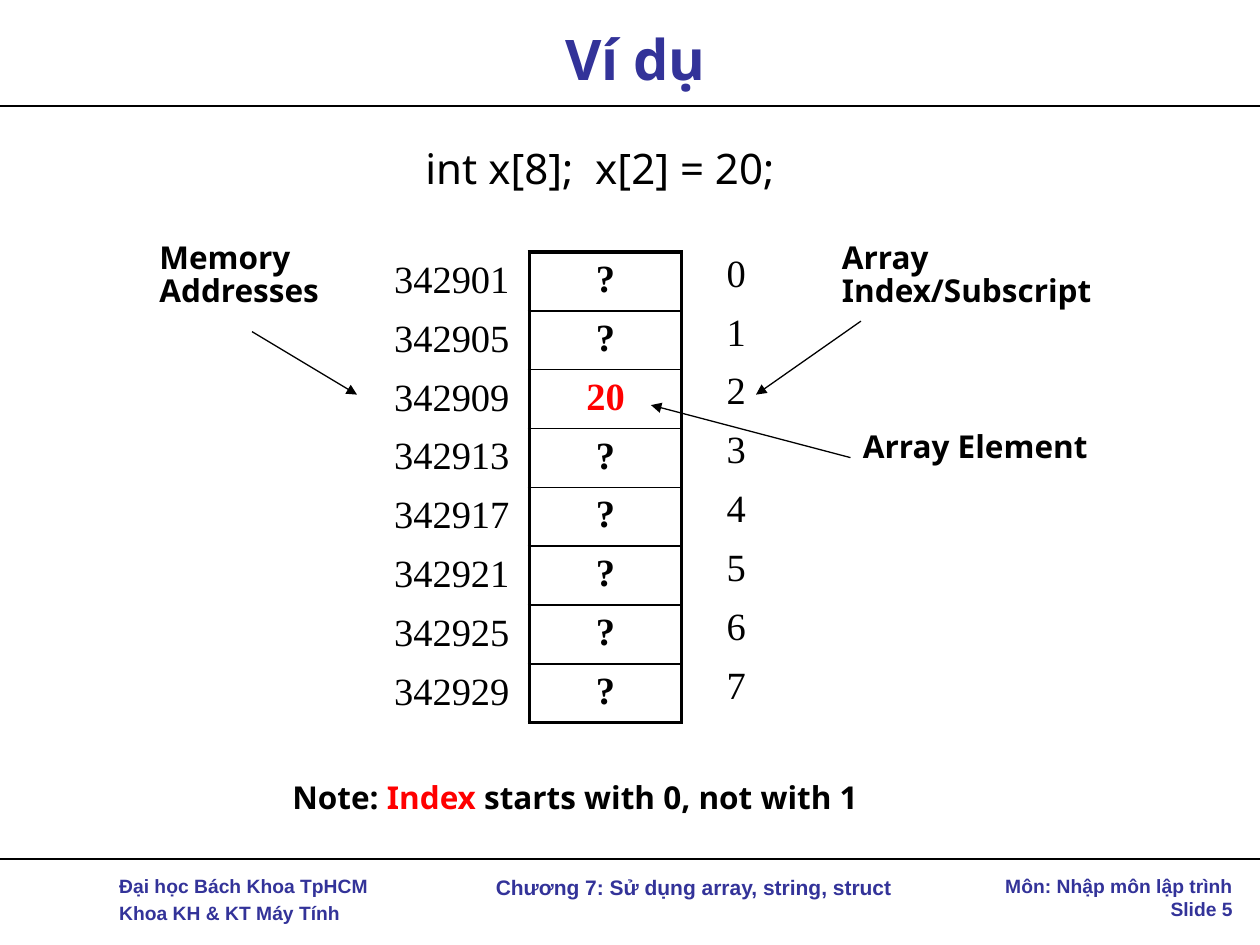
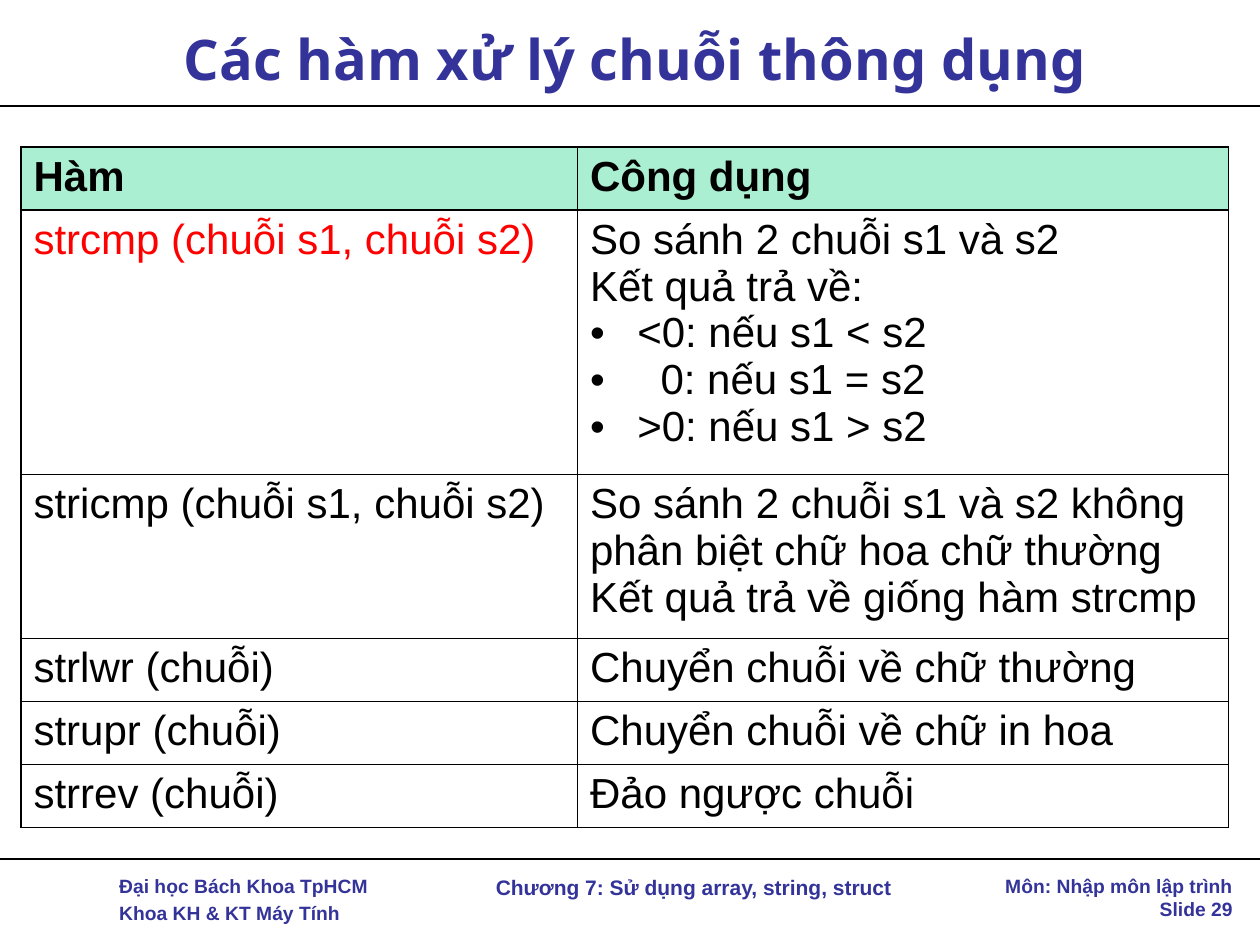
from lxml.etree import SubElement
from pptx import Presentation
from pptx.dml.color import RGBColor
from pptx.enum.shapes import MSO_CONNECTOR
from pptx.enum.text import MSO_ANCHOR as ANCHOR, PP_ALIGN as ALIGN
from pptx.oxml import parse_xml
from pptx.oxml.ns import nsdecls, qn
from pptx.util import Pt

NAVY = RGBColor(0x33, 0x33, 0x99)
BLACK = RGBColor(0, 0, 0)
RED = RGBColor(0xFF, 0, 0)
MINT = RGBColor(0xAA, 0xEF, 0xD2)
SANS, ARIAL, SERIF = "Noto Sans", "Arial", "Times New Roman"
WIDTH, HEIGHT = 720, 540

# Shared by both slides
TITLE_AREA = (24, 6, 678, 54.5)
RULE_HEIGHTS = (60.5, 491)
SCHOOL = ["Đại học Bách Khoa TpHCM", "Khoa KH & KT Máy Tính"]
CHAPTER = "Chương 7: Sử dụng array, string, struct"
COURSE = "Môn: Nhập môn lập trình"

# Array slide
ARRAY_TITLE, ARRAY_NUMBER = "Ví dụ", 5
VALUES = ["?", "?", "20", "?", "?", "?", "?", "?"]
FIRST_ADDRESS, INT_SIZE = 342901, 4
CELL_HEIGHT = 33.6
CODE = ("int x[8];  x[2] = 20;", (236, 78, 234, 36))
LABELS = [
    ("Memory Addresses", (84, 135, 108, 50.4)),
    ("Array Index/Subscript", (474, 135, 168, 50.4)),
    ("Array Element", (486, 243, 168, 28.8)),
]
NOTE = [("Note: ", BLACK), ("Index ", RED), ("starts with 0, not with 1", BLACK)]
NOTE_AREA = (160, 441, 366, 28.8)
ARROWS = [
    ((144, 189.5), (204, 225.5)),
    ((492, 183.5), (432, 225.5)),
    ((486, 261.5), (372, 231.5)),
]

# String function slide: (function, colour, use, lines it takes)
STRING_TITLE, STRING_NUMBER = "Các hàm xử lý chuỗi thông dụng", 29
HEADER = ("Hàm", BLACK, ["Công dụng"], 1)
FUNCTIONS = [
    ("strcmp (chuỗi s1, chuỗi s2)", RED,
     ["So sánh 2 chuỗi s1 và s2", "Kết quả trả về:",
      "<0: nếu s1 < s2", "0: nếu s1 = s2", ">0: nếu s1 > s2"], 5),
    ("stricmp (chuỗi s1, chuỗi s2)", BLACK,
     ["So sánh 2 chuỗi s1 và s2 không phân biệt chữ hoa chữ thường",
      "Kết quả trả về giống hàm strcmp"], 3),
    ("strlwr (chuỗi)", BLACK, ["Chuyển chuỗi về chữ thường"], 1),
    ("strupr (chuỗi)", BLACK, ["Chuyển chuỗi về chữ in hoa"], 1),
    ("strrev (chuỗi)", BLACK, ["Đảo ngược chuỗi"], 1),
]
BULLET_INDENTS = {"<0": 27, "0:": 40.3, ">0": 27}
LINE_HEIGHT, CELL_PADDING = 26.8, 7


def style(span, font, size, color=BLACK, bold=False):
    """Format one run."""
    span.font.name, span.font.size, span.font.bold = font, Pt(size), bold
    span.font.color.rgb = color


def write(frame, lines, font, size, color=BLACK, bold=False, align=ALIGN.LEFT):
    """Fill a text frame with one paragraph per line."""
    frame.text = "\n".join(lines)
    for para in frame.paragraphs:
        para.alignment = align
        for span in para.runs:
            style(span, font, size, color, bold)


def add_text(page, area, lines, font, size, color=BLACK, bold=False, align=ALIGN.LEFT):
    """Add a wrapping text box and return its text frame."""
    frame = page.shapes.add_textbox(*map(Pt, area)).text_frame
    frame.word_wrap = True
    write(frame, lines, font, size, color, bold, align)
    return frame


def add_line(page, start, end, width=1, arrow=False):
    """Draw a black line, with an arrowhead at its end if wanted."""
    line = page.shapes.add_connector(MSO_CONNECTOR.STRAIGHT, *map(Pt, start + end))
    line.line.color.rgb = BLACK
    line.line.width = Pt(width)
    if arrow:
        SubElement(line.line._get_or_add_ln(), qn("a:tailEnd"), type="triangle")
    SubElement(line.element.spPr, qn("a:effectLst"))


def set_borders(cell, **widths):
    """Set the cell borders L, R, T and B; a width of 0 hides a border."""
    properties = cell._tc.get_or_add_tcPr()
    for place, side in enumerate("LRTB"):
        width = widths.get(side, 0)
        fill = (f'<a:solidFill><a:srgbClr val="{BLACK}"/></a:solidFill>'
                if width else "<a:noFill/>")
        properties.insert(place, parse_xml(
            f'<a:ln{side} {nsdecls("a")} w="{Pt(width)}">{fill}</a:ln{side}>'))


def add_plain_table(page, left, top, widths, heights):
    """Add a table without banding or fills."""
    area = map(Pt, (left, top, sum(widths), sum(heights)))
    table = page.shapes.add_table(len(heights), len(widths), *area).table
    table.first_row = table.horz_banding = False
    for column, width in zip(table.columns, widths):
        column.width = Pt(width)
    for row, height in zip(table.rows, heights):
        row.height = Pt(height)
    for cell in table.iter_cells():
        cell.fill.background()
    return table


def add_column(page, left, top, width, texts, framed=False):
    """Add a one-column table; a framed one gets a thick outline."""
    table = add_plain_table(page, left, top, [width], [CELL_HEIGHT] * len(texts))
    last = len(texts) - 1
    for index, text in enumerate(texts):
        cell = table.cell(index, 0)
        color = RED if framed and text != "?" else BLACK
        write(cell.text_frame, [text], SERIF, 22, color, framed,
              ALIGN.CENTER if framed else ALIGN.LEFT)
        if framed:
            set_borders(cell, L=2.25, R=2.25, T=1 if index else 2.25,
                        B=2.25 if index == last else 1)
        else:
            set_borders(cell)


def add_bullet(para, indent):
    """Give a paragraph a round bullet and a hanging indent."""
    properties = para._p.get_or_add_pPr()
    properties.set("marL", str(Pt(indent)))
    properties.set("indent", str(-Pt(indent)))
    SubElement(properties, qn("a:buFont"), typeface=ARIAL)
    SubElement(properties, qn("a:buChar"), char="•")


def add_page(deck, title, number):
    """Add a slide with the shared title, rules and footers."""
    page = deck.slides.add_slide(deck.slide_layouts[5])
    school = add_text(page, (61, 496, 168, 37), SCHOOL, ARIAL, 11, NAVY, True)
    school.paragraphs[1].space_before = Pt(2.2)
    add_text(page, (564, 496, 147.5, 34), [COURSE, f"Slide {number}"],
             ARIAL, 11, NAVY, True, ALIGN.RIGHT)
    add_text(page, (229, 496, 335, 22), [CHAPTER], ARIAL, 12, NAVY, True, ALIGN.CENTER)
    for height in RULE_HEIGHTS:
        add_line(page, (0, height), (WIDTH, height))
    box = page.shapes.title
    box.left, box.top, box.width, box.height = map(Pt, TITLE_AREA)
    write(box.text_frame, [title], SANS, 32, NAVY, True, ALIGN.CENTER)
    box.text_frame.vertical_anchor = ANCHOR.MIDDLE
    return page


def build_array_page(deck):
    """Show an array in memory with its addresses and indexes."""
    page = add_page(deck, ARRAY_TITLE, ARRAY_NUMBER)
    indexes = range(len(VALUES))
    add_column(page, 302.5, 144, 87, VALUES, framed=True)
    add_column(page, 408, 141, 68.5, [str(index) for index in indexes])
    add_column(page, 218, 144.5, 87,
               [str(FIRST_ADDRESS + INT_SIZE * index) for index in indexes])
    code, area = CODE
    add_text(page, area, [code], SANS, 24)
    for label, area in LABELS:
        for para in add_text(page, area, [label], SANS, 18, bold=True).paragraphs:
            para.line_spacing = 0.89
    for start, end in ARROWS:
        add_line(page, start, end, 0.75, arrow=True)
    para = add_text(page, NOTE_AREA, [""], SANS, 18).paragraphs[0]
    for text, color in NOTE:
        span = para.add_run()
        span.text = text
        style(span, SANS, 18, color, True)


def build_string_page(deck):
    """List the common string functions in a table."""
    page = add_page(deck, STRING_TITLE, STRING_NUMBER)
    rows = [HEADER] + FUNCTIONS
    heights = [lines * LINE_HEIGHT + CELL_PADDING for *_, lines in rows]
    table = add_plain_table(page, 12, 84, (318, 372), heights)
    for index, (name, color, use, _) in enumerate(rows):
        left, right = table.cell(index, 0), table.cell(index, 1)
        write(left.text_frame, [name], ARIAL, 24, color, index == 0)
        write(right.text_frame, use, ARIAL, 24, BLACK, index == 0)
        for para in right.text_frame.paragraphs:
            if para.text[:2] in BULLET_INDENTS:
                add_bullet(para, BULLET_INDENTS[para.text[:2]])
        for cell in (left, right):
            if index == 0:
                cell.fill.solid()
                cell.fill.fore_color.rgb = MINT
            set_borders(cell, L=1, R=1, T=1, B=1)


deck = Presentation()
deck.slide_width, deck.slide_height = Pt(WIDTH), Pt(HEIGHT)
build_array_page(deck)
build_string_page(deck)
deck.save("out.pptx")
